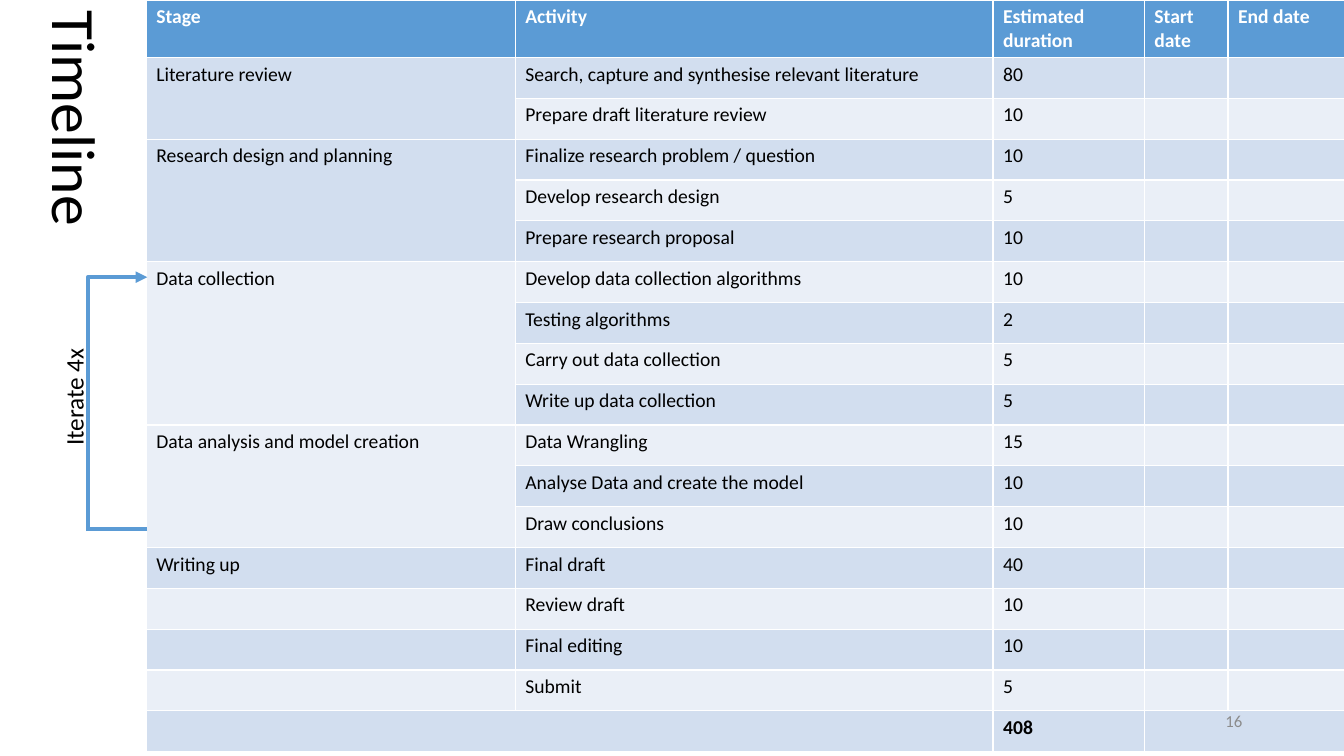
from lxml.etree import SubElement
from pptx import Presentation
from pptx.dml.color import RGBColor
from pptx.enum.shapes import MSO_CONNECTOR as Link
from pptx.enum.text import MSO_ANCHOR as Anchor, PP_ALIGN as Align
from pptx.oxml.ns import qn
from pptx.util import Inches, Pt

FONT = "Calibri"
BLUE, DARK, PALE = "5B9BD5", "D2DEEF", "EAEFF7"
BLACK, WHITE, GREY = "000000", "FFFFFF", "8C8C8C"
HEADS = ["Stage", "Activity", "Estimated duration", "Start date", "End date"]
WIDTHS = [3.66, 4.74, 1.5, 0.83, 1.16]
HEAD_H, TABLE_H = 0.57, 7.46
TOTAL = "408"
STAGES = [
    ("Literature review", [
        ("Search, capture and synthesise relevant literature", 80),
        ("Prepare draft literature review", 10)]),
    ("Research design and planning", [
        ("Finalize research problem / question", 10),
        ("Develop research design", 5),
        ("Prepare research proposal", 10)]),
    ("Data collection", [
        ("Develop data collection algorithms", 10),
        ("Testing algorithms", 2),
        ("Carry out data collection", 5),
        ("Write up data collection", 5)]),
    ("Data analysis and model creation", [
        ("Data Wrangling", 15),
        ("Analyse Data and create the model", 10),
        ("Draw conclusions", 10)]),
    ("Writing up", [("Final draft", 40)]),
    ("", [("Review draft", 10)]),
    ("", [("Final editing", 10)]),
    ("", [("Submit", 5)]),
]


def color(code):
    """Turn a hex string into a colour."""
    return RGBColor.from_string(code)


def add_run(para, text, size, code, bold=False):
    """Add one styled run to a paragraph."""
    run = para.add_run()
    run.text = text
    run.font.name = FONT
    run.font.size = Pt(size)
    run.font.bold = bold
    run.font.color.rgb = color(code)


def add_label(slide, box, text, size, code=BLACK, turn=0, wrap=True,
              anchor=Anchor.MIDDLE, align=Align.LEFT, space=1.0):
    """Add a text box, turned if asked."""
    shape = slide.shapes.add_textbox(*map(Inches, box))
    shape.rotation = turn
    frame = shape.text_frame
    frame.word_wrap = wrap
    frame.vertical_anchor = anchor
    para = frame.paragraphs[0]
    para.alignment = align
    para.line_spacing = space
    add_run(para, text, size, code)


def add_line(slide, kind, start, end):
    """Add a blue connector without shadow and return it."""
    line = slide.shapes.add_connector(kind, *map(Inches, start + end))
    line.line.color.rgb = color(BLUE)
    line.line.width = Pt(2.75)
    SubElement(line._element.spPr, qn("a:effectLst"))
    return line


def add_bend(slide, start, end):
    """Add an arrow that leaves upright and turns towards its end."""
    line = add_line(slide, Link.ELBOW, start, end)
    props = line._element.spPr
    shape = props.find(qn("a:prstGeom"))
    guides = shape.find(qn("a:avLst"))
    if guides is None:
        guides = SubElement(shape, qn("a:avLst"))
    SubElement(guides, qn("a:gd"), name="adj1", fmla="val 0")
    SubElement(props.find(qn("a:ln")), qn("a:tailEnd"), type="triangle")


def fill_row(table, row, texts, fill, code=BLACK, bold=False):
    """Fill one table row with colour and text."""
    for cell, text in zip(table.rows[row].cells, texts):
        cell.fill.solid()
        cell.fill.fore_color.rgb = color(fill)
        if text:
            add_run(cell.text_frame.paragraphs[0], text, 14, code, bold)


def add_plan(slide):
    """Add the table of stages and activities."""
    count = sum(len(tasks) for _, tasks in STAGES) + 2
    frame = slide.shapes.add_table(count, len(HEADS), Inches(1.45), 0,
                                   Inches(sum(WIDTHS)), Inches(TABLE_H))
    table = frame.table
    for col, width in zip(table.columns, WIDTHS):
        col.width = Inches(width)
    for line in table.rows:
        line.height = Inches((TABLE_H - HEAD_H) / (count - 1))
    table.rows[0].height = Inches(HEAD_H)

    fill_row(table, 0, HEADS, BLUE, WHITE, True)
    row = 1
    for stage, tasks in STAGES:
        first = row
        for task, days in tasks:
            name = stage if row == first else ""
            fill_row(table, row, [name, task, str(days), "", ""],
                     DARK if row % 2 else PALE)
            row += 1
        if len(tasks) > 1:
            table.cell(first, 0).merge(table.cell(row - 1, 0))
    fill_row(table, row, ["", "", TOTAL, "", ""], DARK, bold=True)
    for left in (0, 3):
        table.cell(row, left).merge(table.cell(row, left + 1))


def main():
    """Build the timeline slide."""
    deck = Presentation()
    deck.slide_width, deck.slide_height = Inches(13.33), Inches(7.5)
    slide = deck.slides.add_slide(deck.slide_layouts[6])
    add_label(slide, (-5.03, 5.03, 11.5, 1.45), "Timeline", 44,
              turn=90, space=0.9)
    add_plan(slide)
    add_label(slide, (9.42, 6.95, 3, 0.4), "16", 12, GREY, align=Align.RIGHT)
    add_bend(slide, (0.87, 5.27), (1.46, 2.75))
    add_line(slide, Link.STRAIGHT, (1.46, 5.25), (0.85, 5.25))
    add_label(slide, (0.14, 3.73, 1.18, 0.4), "Iterate 4x", 18, turn=270,
              wrap=False, anchor=Anchor.TOP)
    deck.save("out.pptx")


if __name__ == "__main__":
    main()
